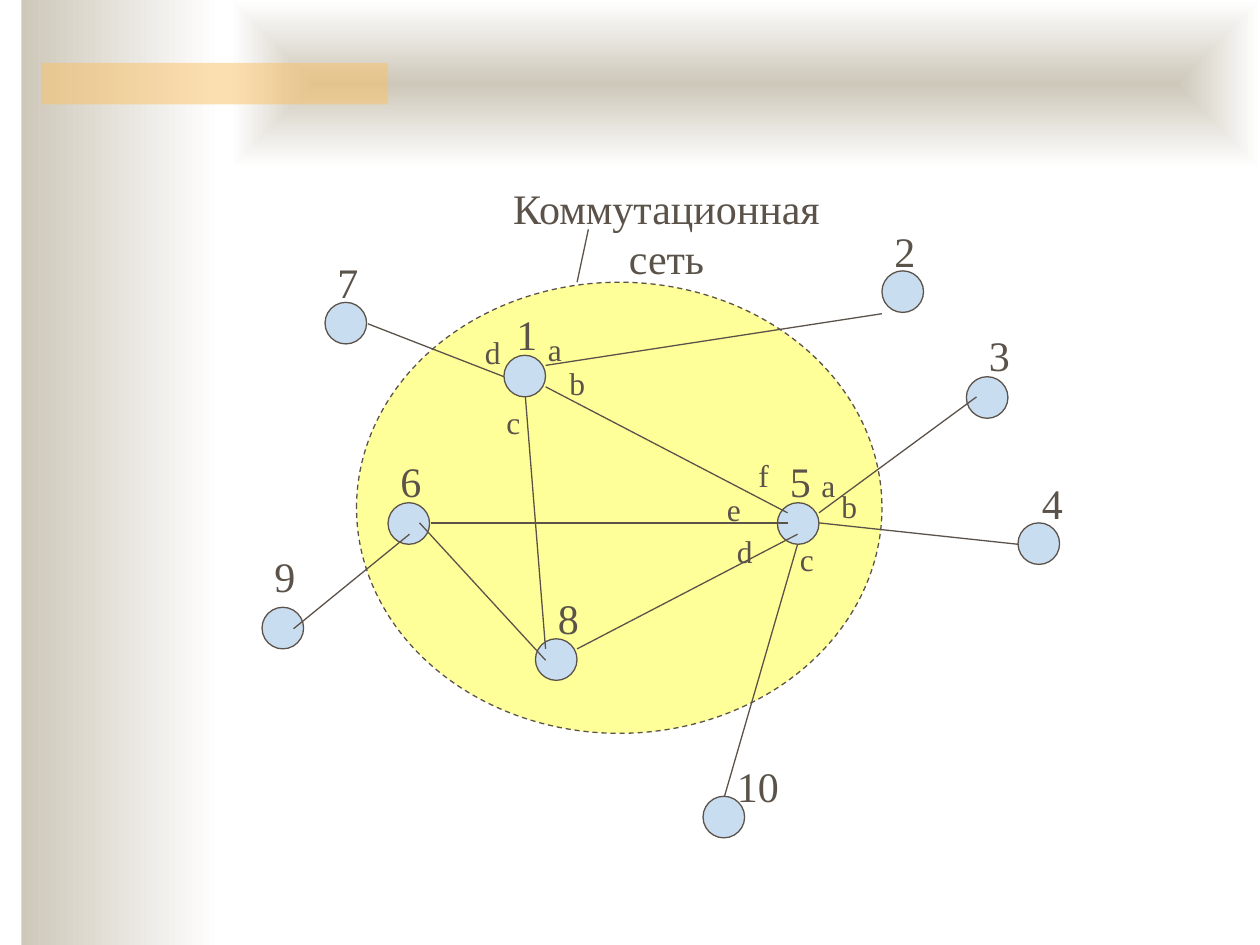
from pptx import Presentation
from pptx.dml.color import RGBColor
from pptx.enum import dml, shapes, text
from pptx.oxml import parse_xml
from pptx.oxml.ns import nsdecls, qn
from pptx.util import Inches, Pt

NODE_SIZE = 0.33

# number: (node left, node top, label left, label top)
NODES = {
    "1": (4, 2.82, 4, 2.4),
    "10": (5.58, 6.32, 5.75, 5.99),
    "5": (6.17, 3.99, 6.17, 3.57),
    "2": (7, 2.15, 7, 1.74),
    "8": (4.25, 5.07, 4.33, 4.65),
    "4": (8.08, 4.15, 8.17, 3.74),
    "9": (2.08, 4.82, 2.08, 4.32),
    "7": (2.58, 2.4, 2.58, 1.99),
    "6": (3.08, 3.99, 3.08, 3.57),
    "3": (7.67, 2.99, 7.75, 2.57),
}

LINKS = [
    (4.33, 2.9, 7, 2.49),  # 1-2
    (4.17, 3.15, 4.33, 5.15),  # 1-8
    (4.58, 5.15, 6.33, 4.24),  # 8-5
    (6.5, 4.15, 8.08, 4.32),  # 5-4
    (5.75, 6.32, 6.33, 4.32),  # 10-5
    (4.33, 3.07, 6.25, 4.07),  # 1-5
    (3.33, 4.15, 4.33, 5.24),  # 6-8
    (7.75, 3.15, 6.5, 4.07),  # 3-5
    (2.92, 2.57, 4, 2.99),  # 7-1
    (3.25, 4.24, 2.33, 4.99),  # 6-9
    (3.42, 4.15, 6.25, 4.15),  # 6-5
]

PORTS = [
    # node 1
    ("а", 4.25, 2.57), ("b", 4.42, 2.84), ("c", 3.92, 3.15), ("d", 3.75, 2.59),
    # node 5
    ("а", 6.42, 3.65), ("b", 6.58, 3.82), ("c", 6.25, 4.24),
    ("d", 5.75, 4.17), ("e", 5.67, 3.84), ("f", 5.92, 3.57),
]


def rgb(value):
    return RGBColor.from_string(value)


class Diagram:
    font = "Times New Roman"
    ink = "5B5249"
    node_fill = "C9DDF1"
    cloud_fill = "FFFF99"
    shade = "CEC8BA"
    accent = "FAC164"

    def __init__(self, slide):
        self.s = slide

    def shape(self, kind, x, y, w, h):
        sp = self.s.shapes.add_shape(kind, Inches(x), Inches(y), Inches(w), Inches(h))
        sp.shadow.inherit = False
        return sp

    def panel(self, x, y, w, h):
        sp = self.shape(shapes.MSO_SHAPE.RECTANGLE, x, y, w, h)
        sp.line.fill.background()
        return sp

    def gradient(self, x, y, w, h, from_centre=False):
        sp = self.panel(x, y, w, h)
        sp.fill.gradient()
        sp.fill.gradient_angle = 0
        for stop, position, color in zip(sp.fill.gradient_stops, (0, 1), (self.shade, "FFFFFF")):
            stop.position = position
            stop.color.rgb = rgb(color)
        if from_centre:
            grad = sp._element.spPr.find(qn("a:gradFill"))
            grad.replace(grad.find(qn("a:lin")), parse_xml(
                f'<a:path {nsdecls("a")} path="shape">'
                '<a:fillToRect l="50000" t="50000" r="50000" b="50000"/></a:path>'))

    def accent_bar(self, x, y, w, h):
        sp = self.panel(x, y, w, h)
        sp.fill.solid()
        sp.fill.fore_color.rgb = rgb(self.accent)
        color = sp._element.spPr.find(".//" + qn("a:srgbClr"))
        color.append(parse_xml(f'<a:alpha {nsdecls("a")} val="50000"/>'))

    def outline(self, line):
        line.color.rgb = rgb(self.ink)
        line.width = Pt(0.75)

    def ellipse(self, x, y, w, h, fill):
        sp = self.shape(shapes.MSO_SHAPE.OVAL, x, y, w, h)
        sp.fill.solid()
        sp.fill.fore_color.rgb = rgb(fill)
        self.outline(sp.line)
        return sp

    def cloud(self, x, y, w, h):
        sp = self.ellipse(x, y, w, h, self.cloud_fill)
        sp.line.dash_style = dml.MSO_LINE.DASH

    def node(self, x, y):
        self.ellipse(x, y, NODE_SIZE, NODE_SIZE, self.node_fill)

    def link(self, x1, y1, x2, y2):
        c = self.s.shapes.add_connector(
            shapes.MSO_CONNECTOR.STRAIGHT, Inches(x1), Inches(y1), Inches(x2), Inches(y2))
        self.outline(c.line)
        c._element.spPr.append(parse_xml(f'<a:effectLst {nsdecls("a")}/>'))

    def label(self, words, x, y, w, h, size=24, align=text.PP_ALIGN.LEFT):
        tf = self.s.shapes.add_textbox(Inches(x), Inches(y), Inches(w), Inches(h)).text_frame
        tf.word_wrap = True
        tf.auto_size = text.MSO_AUTO_SIZE.SHAPE_TO_FIT_TEXT
        tf.text = words
        p = tf.paragraphs[0]
        p.alignment = align
        font = p.runs[0].font
        font.name = self.font
        font.size = Pt(size)
        font.color.rgb = rgb(self.ink)


def main():
    prs = Presentation()
    prs.slide_width, prs.slide_height = Inches(10), Inches(7.5)
    d = Diagram(prs.slides.add_slide(prs.slide_layouts[6]))

    d.gradient(0.17, 0, 1.58, 7.5)
    d.gradient(1.83, 0, 8.17, 1.33, from_centre=True)
    d.accent_bar(0.33, 0.5, 2.75, 0.33)

    d.cloud(2.83, 2.24, 4.17, 3.58)
    for x, y, _, _ in NODES.values():
        d.node(x, y)
    for ends in LINKS:
        d.link(*ends)
    for number, (_, _, x, y) in NODES.items():
        d.label(number, x, y, 0.25 + 0.25 * len(number), 0.5)
    for letter, x, y in PORTS:
        d.label(letter, x, y, 0.42, 0.4, size=18)

    d.label("Коммутационная сеть", 3.83, 1.4, 2.92, 0.9, align=text.PP_ALIGN.CENTER)
    d.link(4.67, 1.82, 4.58, 2.24)
    prs.save("out.pptx")


if __name__ == "__main__":
    main()
